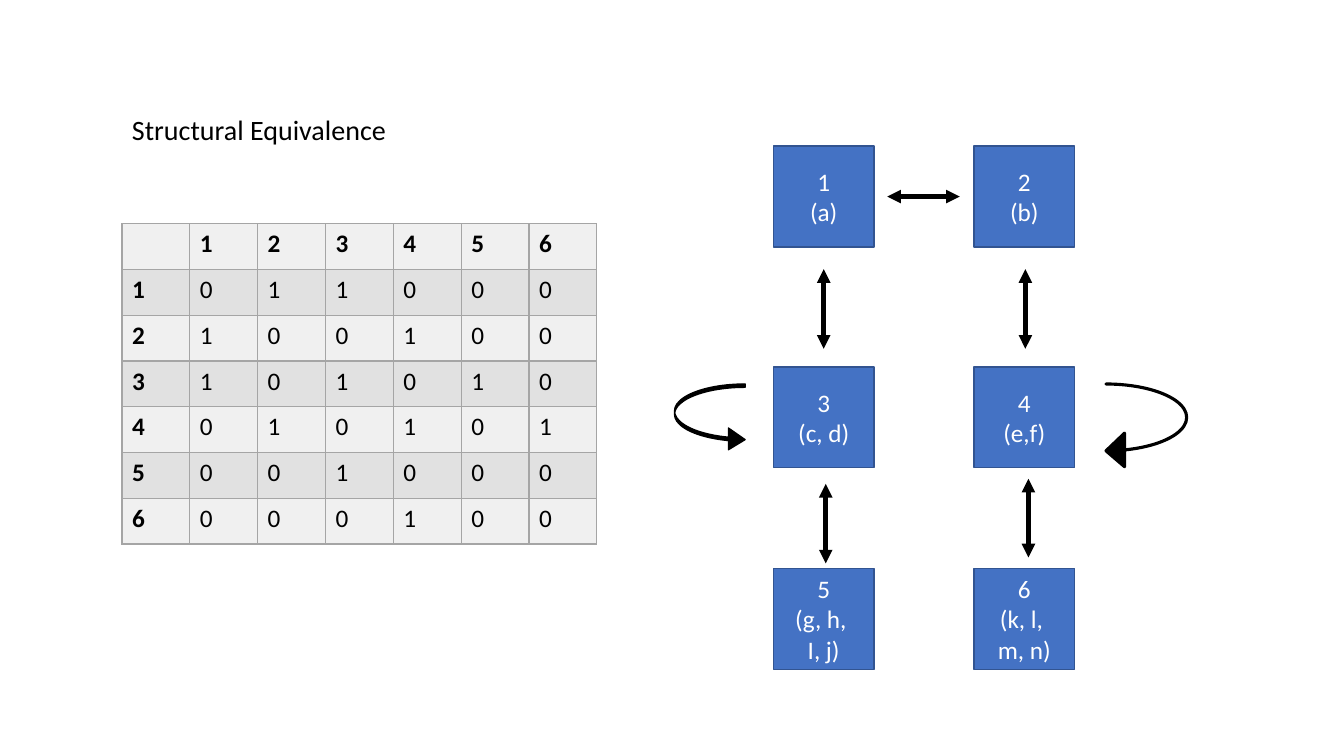
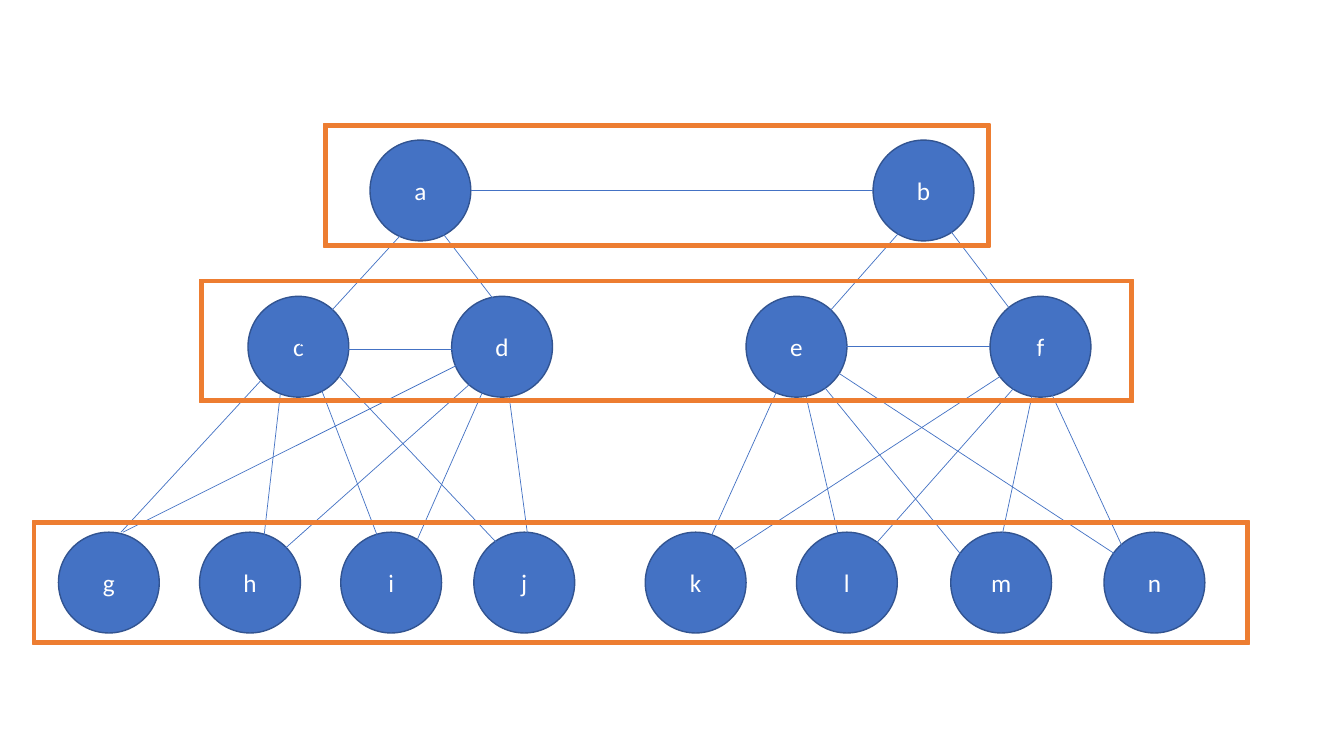
from lxml.etree import SubElement
from pptx import Presentation
from pptx.dml.color import RGBColor
from pptx.enum.shapes import MSO_CONNECTOR, MSO_SHAPE
from pptx.enum.text import MSO_ANCHOR, MSO_AUTO_SIZE, PP_ALIGN
from pptx.oxml.ns import qn
from pptx.util import Inches, Pt

BLUE, NAVY, ORANGE = "4472C4", "325491", "ED7D31"
BLACK, WHITE = "000000", "FFFFFF"
GRID, LIGHT, DARK = "A5A5A5", "F0F0F0", "E1E1E1"
BODY = {"name": "Calibri", "size": Pt(18), "bold": False}
LABEL = BODY | {"bold": True}
TITLE = BODY | {"size": Pt(20)}
NODE_SIZE = 1
PAGE_BOX = (0, 0, 13.33, 7.5)

TIES = ["011000", "100100", "101010", "010101", "001000", "000100"]
BLOCKS = [
    [["1", "(a)"], ["2", "(b)"]],
    [["3", "(c, d)"], ["4", "(e,f)"]],
    [["5", "(g, h, ", "I, j)"], ["6", "(k, l, ", "m, n)"]],
]
BLOCK_LEFTS, BLOCK_TOPS = (0.98, 2.97), (0, 2.19, 4.19)
BLOCK_ARROWS = [
    (2.11, 0.5, 2.83, 0.5),
    (1.48, 1.22, 1.48, 2.01),
    (3.48, 1.22, 3.48, 2.01),
    (1.5, 3.35, 1.5, 4.14),
    (3.51, 3.3, 3.51, 4.08),
]
LOOPS = [
    (MSO_SHAPE.CURVED_RIGHT_ARROW, (0, 2.36, 0.7, 0.66), (0.05, 0.326, 0.25), 1),
    (MSO_SHAPE.CURVED_LEFT_ARROW, (4.28, 2.36, 0.8, 0.83), (0, 0.417, 0.23), 2.25),
]

TIERS = [
    ((3.21, 1.23, 6.61, 1.22), 1.39, {"a": 3.67, "b": 8.66}),
    ((1.98, 2.77, 9.26, 1.22), 2.94, {"c": 2.46, "d": 4.48, "e": 7.4, "f": 9.82}),
    ((0.32, 5.17, 12.07, 1.22), 5.28,
     {"g": 0.58, "h": 1.98, "i": 3.38, "j": 4.7,
      "k": 6.4, "l": 7.9, "m": 9.43, "n": 10.95}),
]
LINKS = [
    (4.67, 1.89, 8.66, 1.89), (4.38, 1.89, 2.96, 3.44), (4.38, 2.3, 5.28, 3.47),
    (9.26, 1.92, 8.06, 3.28), (9.29, 2.11, 10.18, 3.28),
    (2.62, 3.74, 1.2, 5.28), (2.78, 3.91, 2.58, 5.66),
    (3.14, 3.74, 3.92, 5.78), (3.21, 3.57, 5.3, 5.78),
    (4.7, 3.54, 1.22, 5.28), (4.93, 3.57, 2.75, 5.51),
    (4.94, 3.54, 3.95, 5.78), (5.02, 3.71, 5.28, 5.66),
    (7.75, 3.78, 6.9, 5.66), (7.95, 3.74, 8.34, 5.42),
    (8.07, 3.71, 9.66, 5.66), (8.01, 3.5, 11.08, 5.51),
    (10.08, 3.63, 7.01, 5.63), (10.25, 3.63, 8.62, 5.47),
    (10.34, 3.44, 9.83, 5.82), (10.26, 3.54, 11.25, 5.68),
    (3.21, 3.47, 4.7, 3.47), (8.34, 3.44, 9.82, 3.44),
]


def paint(fill, color):
    """Give a fill one solid colour from a hex string."""
    fill.solid()
    fill.fore_color.rgb = RGBColor.from_string(color)


def apply(target, values):
    """Set each attribute named in a dict of format values."""
    for name, value in values.items():
        setattr(target, name, value)


def write(frame, lines, color, font=BODY, align=PP_ALIGN.LEFT):
    """Write one paragraph for each line of text."""
    for index, line in enumerate(lines):
        para = frame.add_paragraph() if index else frame.paragraphs[0]
        para.alignment = align
        span = para.add_run()
        span.text = line
        apply(span.font, font)
        paint(span.font.fill, color)


def add_figure(page, kind, box, fill, outline, width=1, adjustments=()):
    """Add a flat preset shape with its fill, outline and adjustments."""
    shape = page.shapes.add_shape(kind, *map(Inches, box))
    shape.shadow.inherit = False
    paint(shape.fill, fill)
    paint(shape.line.fill, outline)
    shape.line.width = Pt(width)
    for index, value in enumerate(adjustments):
        shape.adjustments[index] = value
    return shape


def add_node(page, kind, left, top, lines):
    """Add a blue node with centred white text."""
    shape = add_figure(page, kind, (left, top, NODE_SIZE, NODE_SIZE), BLUE, NAVY)
    apply(shape.text_frame, {"word_wrap": True, "vertical_anchor": MSO_ANCHOR.MIDDLE})
    write(shape.text_frame, lines, WHITE, align=PP_ALIGN.CENTER)


def add_line(page, origin, ends, color, width, arrows=False):
    """Add a straight line, with arrowheads at both ends on request."""
    points = [Inches(origin[i % 2] + value) for i, value in enumerate(ends)]
    line = page.shapes.add_connector(MSO_CONNECTOR.STRAIGHT, *points)
    paint(line.line.fill, color)
    line.line.width = Pt(width)
    if arrows:
        for tag in ("a:headEnd", "a:tailEnd"):
            SubElement(line.line._get_or_add_ln(), qn(tag), type="triangle")
    SubElement(line._element.spPr, qn("a:effectLst"))


def add_borders(cell, color, width):
    """Draw the four borders of a table cell."""
    properties = cell._tc.get_or_add_tcPr()
    for side in ("a:lnL", "a:lnR", "a:lnT", "a:lnB"):
        border = SubElement(properties, qn(side), w=str(Pt(width)))
        solid = SubElement(border, qn("a:solidFill"))
        SubElement(solid, qn("a:srgbClr"), val=color)


def add_heading(page, box, text):
    """Add a one-line heading."""
    frame = page.shapes.add_textbox(*map(Inches, box)).text_frame
    apply(frame, {"word_wrap": False, "auto_size": MSO_AUTO_SIZE.SHAPE_TO_FIT_TEXT})
    write(frame, [text], BLACK, TITLE)


def add_matrix(page, box, ties):
    """Add the tie matrix as a table with numbered rows and columns."""
    count = len(ties) + 1
    numbers = [str(number) for number in range(1, count)]
    rows = [["", *numbers]] + [[name, *row] for name, row in zip(numbers, ties)]
    table = page.shapes.add_table(count, count, *map(Inches, box)).table
    apply(table, {"first_row": False, "horz_banding": False})
    for column in table.columns:
        column.width = Inches(box[2] / count)
    for row in table.rows:
        row.height = Inches(box[3] / count)
    for i, row in enumerate(rows):
        for j, text in enumerate(row):
            cell = table.cell(i, j)
            add_borders(cell, GRID, 1)
            paint(cell.fill, DARK if i % 2 else LIGHT)
            if text:
                write(cell.text_frame, [text], BLACK, BODY if i and j else LABEL)


def add_block_model(page, box):
    """Add the blocks with the arrows and loops between them."""
    left, top = box[:2]
    for row_top, row in zip(BLOCK_TOPS, BLOCKS):
        for column_left, lines in zip(BLOCK_LEFTS, row):
            add_node(page, MSO_SHAPE.RECTANGLE, left + column_left, top + row_top, lines)
    for ends in BLOCK_ARROWS:
        add_line(page, (left, top), ends, BLACK, 3.25, arrows=True)
    for kind, (x, y, width, height), adjustments, weight in LOOPS:
        add_figure(page, kind, (left + x, top + y, width, height),
                   BLACK, BLACK, weight, adjustments)


def add_network(page, box):
    """Add the tiers of actors, their links and the tier frames."""
    left, top = box[:2]
    for _, node_top, nodes in TIERS:
        for name, node_left in nodes.items():
            add_node(page, MSO_SHAPE.OVAL, left + node_left, top + node_top, [name])
    for ends in LINKS:
        add_line(page, (left, top), ends, BLUE, 0.5)
    for (x, y, width, height), _, _ in TIERS:
        add_figure(page, MSO_SHAPE.FRAME, (left + x, top + y, width, height),
                   ORANGE, ORANGE, adjustments=[0.027])


def main():
    """Build the deck and save it."""
    deck = Presentation()
    apply(deck, {"slide_width": Inches(PAGE_BOX[2]), "slide_height": Inches(PAGE_BOX[3])})
    blank = deck.slide_layouts[6]
    page = deck.slides.add_slide(blank)
    add_matrix(page, (1.21, 2.22, 4.71, 3.18), TIES)
    add_block_model(page, (6.69, 1.45, 5.08, 5.19))
    add_heading(page, (1.21, 1.07, 2.75, 0.44), "Structural Equivalence")
    add_network(deck.slides.add_slide(blank), PAGE_BOX)
    deck.save("out.pptx")


if __name__ == "__main__":
    main()
